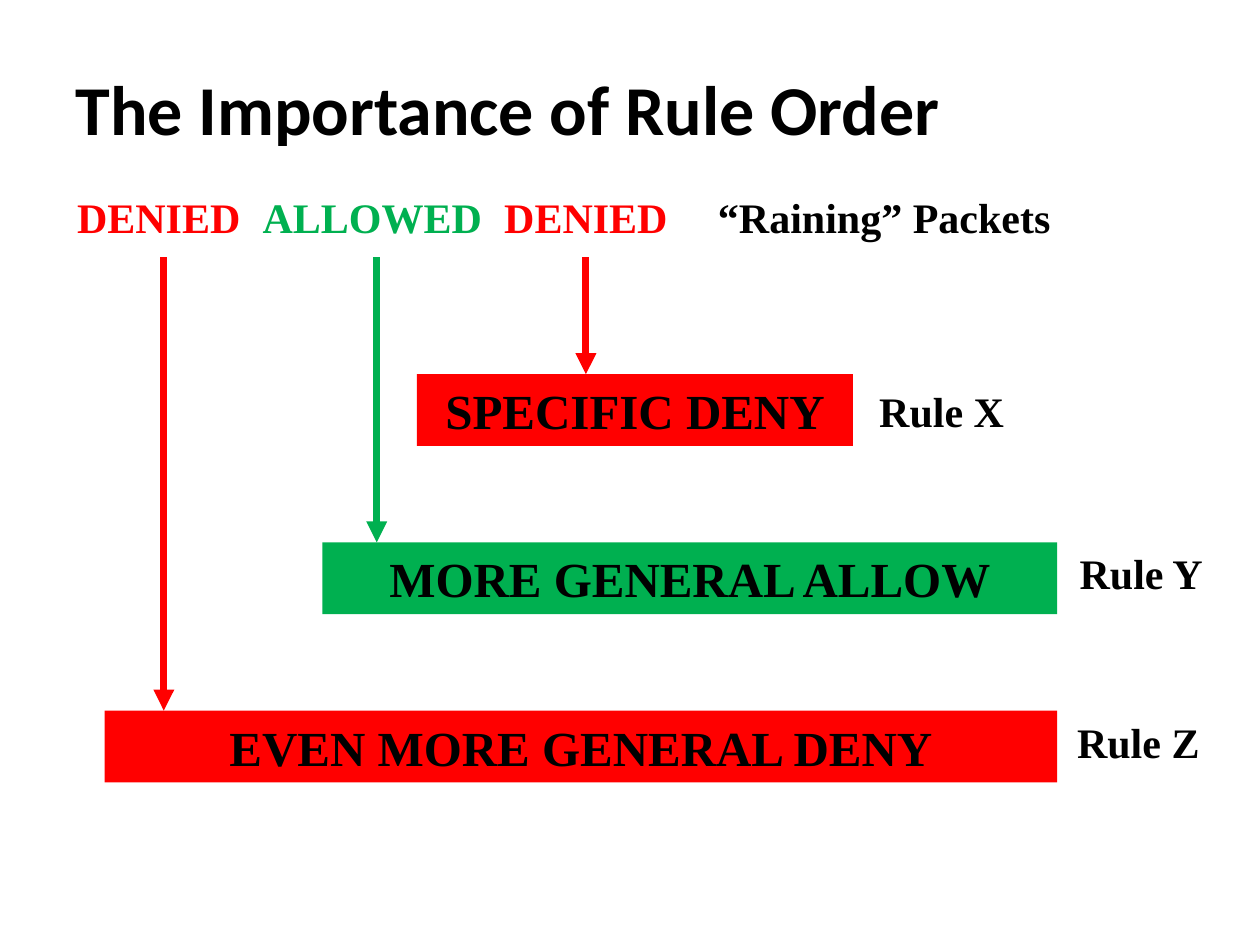
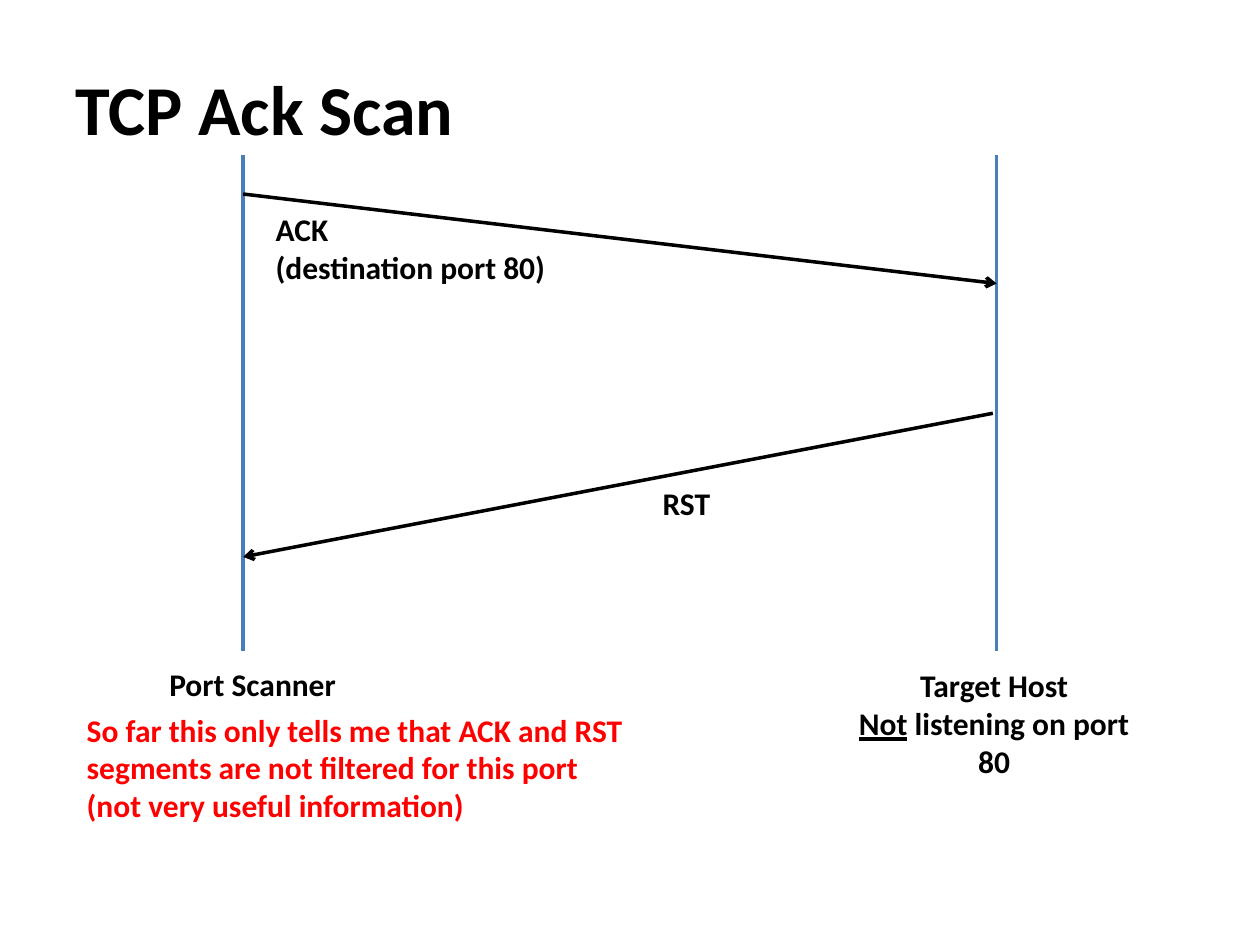
from lxml.etree import SubElement
from pptx import Presentation
from pptx.dml.color import RGBColor
from pptx.enum.shapes import MSO_CONNECTOR, MSO_SHAPE
from pptx.enum.text import MSO_ANCHOR, PP_ALIGN
from pptx.oxml.ns import qn
from pptx.util import Inches, Pt

WIDE, HIGH = Inches(10), Inches(7.5)
COLS, ROWS = 100, 75
SANS, SERIF = "Calibri", "Times New Roman"
BLACK, RED, GREEN, BLUE = "000000", "FF0000", "00B050", "4A7EBB"
LEFT, MID = PP_ALIGN.LEFT, PP_ALIGN.CENTER


def paint(text):
    """Turn a hex string into a colour."""
    return RGBColor.from_string(text)


def grid(x, y):
    """Turn a column and a row into slide lengths."""
    return int(WIDE * x / COLS), int(HIGH * y / ROWS)


def write(frame, lines, size, face=SANS, color=BLACK, align=LEFT):
    """Fill a frame with bold lines; words between underscores are underlined."""
    frame.word_wrap = True
    for at, line in enumerate(lines):
        para = frame.add_paragraph() if at else frame.paragraphs[0]
        para.alignment = align
        for part, piece in enumerate(line.split("_")):
            if not piece:
                continue
            run = para.add_run()
            run.text = piece
            font = run.font
            font.name, font.size, font.bold = face, Pt(size), True
            font.color.rgb = paint(color)
            if part % 2:
                font.underline = True


def start(deck, title):
    """Add a slide with the shared title style."""
    slide = deck.slides.add_slide(deck.slide_layouts[5])
    head = slide.shapes.title
    head.left, head.top = grid(5, 3.1)
    head.width, head.height = grid(90, 10.9)
    head.text_frame.vertical_anchor = MSO_ANCHOR.MIDDLE
    write(head.text_frame, [title], 40)
    return slide


def label(slide, x, y, w, h, lines, size=18, **style):
    """Add a text box."""
    box = slide.shapes.add_textbox(*grid(x, y), *grid(w, h))
    write(box.text_frame, lines, size, **style)


def bar(slide, x, y, w, color, text):
    """Add a filled rule bar."""
    rect = slide.shapes.add_shape(MSO_SHAPE.RECTANGLE, *grid(x, y), *grid(w, 5.7))
    rect.shadow.inherit = False
    rect.fill.solid()
    rect.fill.fore_color.rgb = paint(color)
    rect.line.fill.background()
    write(rect.text_frame, [text], 28, SERIF, align=MID)


def line(slide, start, end, color, width, head=None):
    """Add a straight line, with an arrowhead if one is named."""
    link = slide.shapes.add_connector(MSO_CONNECTOR.STRAIGHT, *grid(*start), *grid(*end))
    link.line.color.rgb = paint(color)
    link.line.width = Pt(width)
    if head:
        SubElement(link.line._get_or_add_ln(), qn("a:tailEnd"), type=head)
    SubElement(link._element.spPr, qn("a:effectLst"))


def rules(deck):
    """Build the slide on rule order."""
    slide = start(deck, "The Importance of Rule Order")
    bars = [
        (33.1, 34.6, RED, "SPECIFIC DENY", "Rule X", 68.8, 30.1),
        (25.6, 58.3, GREEN, "MORE GENERAL ALLOW", "Rule Y", 84.7, 43),
        (8.3, 75.6, RED, "EVEN MORE GENERAL DENY", "Rule Z", 84.5, 56.4),
    ]
    tops = [29.7 + 13.35 * row for row in range(len(bars))]
    for top, (x, w, color, text, name, side, drop) in zip(tops, bars):
        bar(slide, x, top, w, color, text)
        label(slide, side, drop, 14.3, 5, [name], 24, face=SERIF)
    drops = [("DENIED", RED, 13), ("ALLOWED", GREEN, 29.9), ("DENIED", RED, 46.5)]
    for col, (text, color, x) in enumerate(drops):
        line(slide, (x, 20.4), (x, tops[-1 - col]), color, 4, "triangle")
        label(slide, 2.7 + 16.95 * col, 14.7, 19.8, 5, [text], 24,
              face=SERIF, color=color, align=MID)
    label(slide, 56, 14.7, 28.6, 5, ["“Raining” Packets"], 24, face=SERIF)


def scan(deck):
    """Build the slide on the scan exchange."""
    slide = start(deck, "TCP Ack Scan")
    near, far = 19.3, 79.1
    for x in (near, far):
        line(slide, (x, 12.3), (x, 51.7), BLUE, 2)
    line(slide, (near, 15.4), (far, 22.5), BLACK, 2, "arrow")
    line(slide, (78.8, 32.8), (near, 44.2), BLACK, 2, "arrow")
    label(slide, 20.9, 16.2, 26.4, 10, ["ACK", "(destination port 80)"])
    label(slide, 51.6, 37.9, 7.1, 4, ["RST"])
    label(slide, 5.1, 52.3, 29.9, 4, ["Port Scanner"], align=MID)
    label(slide, 66.9, 52.4, 24, 10,
          ["Target Host", "_Not_ listening on port 80"], align=MID)
    label(slide, 5.9, 55.9, 45.7, 10,
          ["So far this only tells me that ACK and RST segments are not "
           "filtered for this port (not very useful information)"], color=RED)


def main():
    """Build and save the deck."""
    deck = Presentation()
    deck.slide_width, deck.slide_height = WIDE, HIGH
    rules(deck)
    scan(deck)
    deck.save("out.pptx")


if __name__ == "__main__":
    main()
